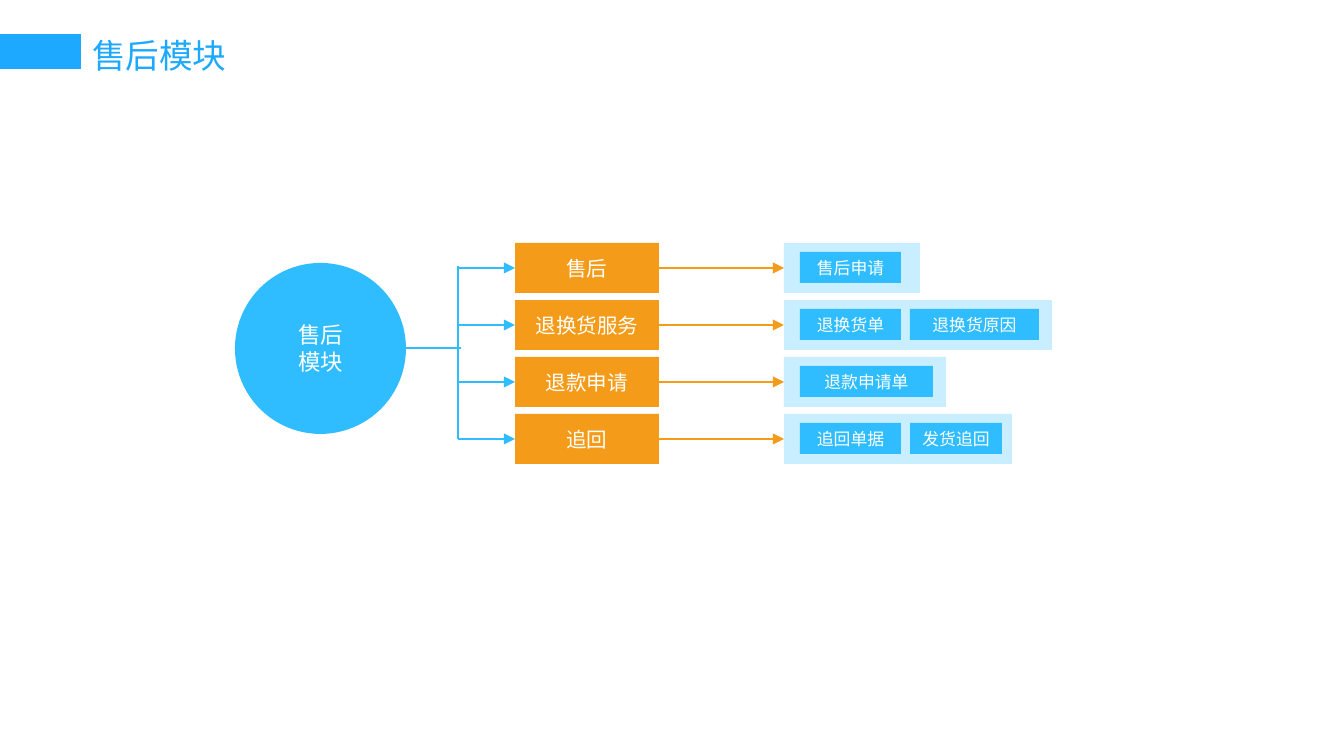
from lxml.etree import SubElement
from pptx import Presentation
from pptx.dml.color import RGBColor
from pptx.enum.shapes import MSO_CONNECTOR as CONNECTOR, MSO_SHAPE as SHAPE
from pptx.enum.text import MSO_ANCHOR as ANCHOR, PP_ALIGN as ALIGN
from pptx.oxml.ns import qn
from pptx.util import Emu, Pt

FONT = "Noto Sans CJK SC"
TITLE_BLUE, BLUE, PALE_BLUE = "1DA9FF", "2FBDFF", "C9EEFF"
ORANGE, WHITE = "F49C19", "FFFFFF"

ROW_TOP, ROW_STEP, ROW_HEIGHT = 243, 57, 50
SPINE_X, MODULE_X, MODULE_WIDTH, PANEL_X = 458, 515, 144, 784
CHIP_INDENT, CHIP_GAP, CHIP_HEIGHT = 16, 9, 31

ROWS = [
    ("售后", 136, [("售后申请", 101)]),
    ("退换货服务", 268, [("退换货单", 101), ("退换货原因", 129)]),
    ("退款申请", 162, [("退款申请单", 133)]),
    ("追回", 228, [("追回单据", 101), ("发货追回", 92)]),
]


def px(length):
    return Emu(round(length * 914400 / 134.4))


def color(value):
    return RGBColor.from_string(value)


def set_text(shape, text, size, text_color, align, anchor):
    frame = shape.text_frame
    frame.text = text
    frame.word_wrap = True
    frame.vertical_anchor = anchor
    frame.margin_left = frame.margin_right = px(10)
    frame.margin_top = frame.margin_bottom = px(5)
    for paragraph in frame.paragraphs:
        paragraph.alignment = align
        for run in paragraph.runs:
            run.font.size = Pt(size)
            run.font.name = FONT
            run.font.color.rgb = color(text_color)
            SubElement(run.font._element, qn("a:ea"), typeface=FONT)


def add_block(slide, kind, left, top, width, height, fill, text="", size=9):
    shape = slide.shapes.add_shape(kind, px(left), px(top), px(width), px(height))
    shape.shadow.inherit = False
    shape.fill.solid()
    shape.fill.fore_color.rgb = color(fill)
    shape.line.fill.background()
    if text:
        set_text(shape, text, size, WHITE, ALIGN.CENTER, ANCHOR.MIDDLE)


def add_line(slide, start_x, start_y, end_x, end_y, line_color, arrow=False):
    connector = slide.shapes.add_connector(
        CONNECTOR.STRAIGHT, px(start_x), px(start_y), px(end_x), px(end_y))
    connector.line.width = Pt(0.75)
    connector.line.color.rgb = color(line_color)
    if arrow:
        SubElement(connector.line._get_or_add_ln(), qn("a:tailEnd"), type="triangle")
    SubElement(connector._element.spPr, qn("a:effectLst"))


def add_title(slide, text):
    add_block(slide, SHAPE.RECTANGLE, 0, 34, 81, 35, TITLE_BLUE)
    title = slide.shapes.title
    title.left, title.top, title.width, title.height = px(82), px(30), px(360), px(51)
    set_text(title, text, 18, TITLE_BLUE, ALIGN.LEFT, ANCHOR.TOP)


def add_row(slide, top, name, panel_width, chips):
    middle = top + ROW_HEIGHT // 2
    add_block(slide, SHAPE.RECTANGLE, MODULE_X, top, MODULE_WIDTH, ROW_HEIGHT,
              ORANGE, name, 11)
    add_block(slide, SHAPE.RECTANGLE, PANEL_X, top, panel_width, ROW_HEIGHT, PALE_BLUE)
    chip_x = PANEL_X + CHIP_INDENT
    for label, width in chips:
        add_block(slide, SHAPE.RECTANGLE, chip_x, top + 9, width, CHIP_HEIGHT, BLUE, label)
        chip_x += width + CHIP_GAP
    add_line(slide, MODULE_X + MODULE_WIDTH, middle, PANEL_X, middle, ORANGE, arrow=True)
    add_line(slide, SPINE_X, middle, MODULE_X, middle, BLUE, arrow=True)


def main():
    presentation = Presentation()
    presentation.slide_width, presentation.slide_height = px(1344), px(756)
    slide = presentation.slides.add_slide(presentation.slide_layouts[5])
    add_title(slide, "售后模块")
    add_block(slide, SHAPE.OVAL, 235, 263, 171, 171, BLUE, "售后\n模块", 12)
    for index, (name, panel_width, chips) in enumerate(ROWS):
        add_row(slide, ROW_TOP + index * ROW_STEP, name, panel_width, chips)
    add_line(slide, SPINE_X, 266, SPINE_X, 439, BLUE)
    add_line(slide, 406, 348, 461, 348, BLUE)
    presentation.save("out.pptx")


if __name__ == "__main__":
    main()
